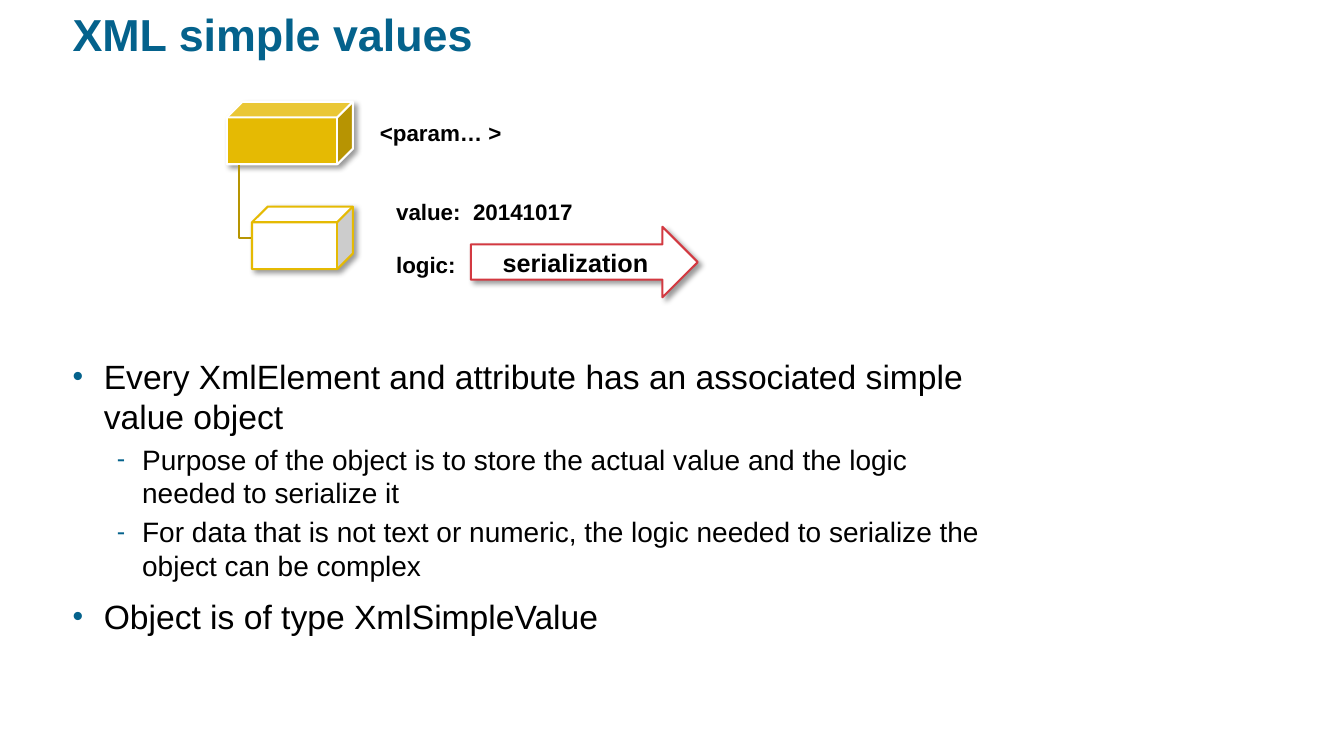
import pptx
import pptx.util
import pptx.dml.color
import pptx.enum.shapes
import pptx.enum.text
import pptx.oxml
import pptx.oxml.ns

Inches = pptx.util.Inches
Pt = pptx.util.Pt
SHAPE = pptx.enum.shapes.MSO_SHAPE
ANCHOR = pptx.enum.text.MSO_ANCHOR
ALIGN = pptx.enum.text.PP_ALIGN
NS = pptx.oxml.ns.nsdecls("a")

COLORS = {
    "title": "04628C",
    "text": "000000",
    "white": "FFFFFF",
    "gold": "E5BA03",
    "dark_gold": "B79502",
    "red": "D33941",
}
BULLETS = [
    (0, "Every XmlElement and attribute has an associated simple value object"),
    (1, "Purpose of the object is to store the actual value and the logic needed to serialize it"),
    (1, "For data that is not text or numeric, the logic needed to serialize the object can be complex"),
    (0, "Object is of type XmlSimpleValue"),
]
LEVELS = [
    {"mark": "•", "left": 0.31, "hang": 0.31, "size": 24, "before": 9.6},
    {"mark": "-", "left": 0.69, "hang": 0.25, "size": 20, "before": 4},
]


def rgb(name):
    return pptx.dml.color.RGBColor.from_string(COLORS[name])


def add_run(p, text, size, color="text", bold=False):
    r = p.add_run()
    r.text = text
    r.font.name = "Arial"
    r.font.size = Pt(size)
    r.font.bold = bold
    r.font.color.rgb = rgb(color)


def set_frame(tf, anchor, inset):
    tf.word_wrap = True
    tf.vertical_anchor = anchor
    tf.margin_left = tf.margin_right = Inches(inset)
    tf.margin_top = tf.margin_bottom = Inches(inset / 2)


def add_box(s, x, y, w, h, anchor=ANCHOR.TOP, inset=0):
    tf = s.shapes.add_textbox(Inches(x), Inches(y), Inches(w), Inches(h)).text_frame
    set_frame(tf, anchor, inset)
    return tf


def add_shadowed(s, kind, x, y, w, h, fill, line):
    sp = s.shapes.add_shape(kind, Inches(x), Inches(y), Inches(w), Inches(h))
    sp.fill.solid()
    sp.fill.fore_color.rgb = rgb(fill)
    sp.line.color.rgb = rgb(line)
    sp.line.width = Pt(1.5)
    sp.shadow.inherit = False
    effects = sp._element.spPr.find(pptx.oxml.ns.qn("a:effectLst"))
    effects.append(pptx.oxml.parse_xml(
        f'<a:outerShdw {NS} blurRad="{Pt(4)}" dist="{Pt(3)}" dir="2700000" algn="tl" rotWithShape="0">'
        f'<a:srgbClr val="{COLORS["text"]}"><a:alpha val="40000"/></a:srgbClr></a:outerShdw>'))
    return sp


def add_title(s, x, y, w, h):
    p = add_box(s, x, y, w, h).paragraphs[0]
    p.line_spacing = 0.9
    add_run(p, "XML simple values", 32, "title", True)


def add_element_tree(s, x, y):
    add_shadowed(s, SHAPE.CUBE, x, y, 1.25, 0.62, "gold", "white")
    elbow = [(x + 0.12, y + 0.63), (x + 0.12, y + 1.35), (x + 0.25, y + 1.35)]
    points = [(Inches(px), Inches(py)) for px, py in elbow]
    builder = s.shapes.build_freeform(*points[0])
    builder.add_line_segments(points[1:], close=False)
    sp = builder.convert_to_shape()
    sp.fill.background()
    sp.line.color.rgb = rgb("dark_gold")
    sp.line.width = Pt(1.5)
    sp.shadow.inherit = False
    add_shadowed(s, SHAPE.CUBE, x + 0.25, y + 1.04, 1, 0.62, "white", "gold")


def add_labels(s, x, y):
    tf = add_box(s, x, y, 5, 0.58, ANCHOR.MIDDLE, 0.1)
    add_run(tf.paragraphs[0], "<param… >", 16, bold=True)
    tf = add_box(s, x + 0.16, y + 1.02, 4.82, 0.62, ANCHOR.MIDDLE, 0.1)
    add_run(tf.paragraphs[0], "value:  20141017", 16, bold=True)
    p = tf.add_paragraph()
    p.space_before = Pt(19)
    add_run(p, "logic:", 16, bold=True)


def add_serialization(s, x, y, w, h):
    sp = add_shadowed(s, SHAPE.RIGHT_ARROW, x, y, w, h, "white", "red")
    set_frame(sp.text_frame, ANCHOR.MIDDLE, 0)
    p = sp.text_frame.paragraphs[0]
    p.alignment = ALIGN.CENTER
    add_run(p, "serialization", 18, bold=True)


def add_bullets(s, x, y, w, h):
    tf = add_box(s, x, y, w, h)
    for i, (depth, text) in enumerate(BULLETS):
        level = LEVELS[depth]
        p = tf.add_paragraph() if i else tf.paragraphs[0]
        p.level = depth
        if i:
            p.space_before = Pt(level["before"])
        pPr = p._p.get_or_add_pPr()
        pPr.set("marL", str(Inches(level["left"])))
        pPr.set("indent", str(-Inches(level["hang"])))
        for xml in (
            f'<a:buClr {NS}><a:srgbClr val="{COLORS["title"]}"/></a:buClr>',
            f'<a:buSzPct {NS} val="90000"/>',
            f'<a:buFont {NS} typeface="Arial"/>',
            f'<a:buChar {NS} char="{level["mark"]}"/>',
        ):
            pPr.append(pptx.oxml.parse_xml(xml))
        add_run(p, text, level["size"])


def main():
    prs = pptx.Presentation()
    prs.slide_width = Inches(13.33)
    prs.slide_height = Inches(7.5)
    s = prs.slides.add_slide(prs.slide_layouts[6])
    add_title(s, 0.72, 0.13, 12.13, 0.81)
    add_bullets(s, 0.72, 3.53, 9.1, 3.42)
    add_labels(s, 3.67, 1.03)
    add_element_tree(s, 2.25, 1.01)
    add_serialization(s, 4.67, 2.25, 2.25, 0.7)
    prs.save("out.pptx")


if __name__ == "__main__":
    main()
